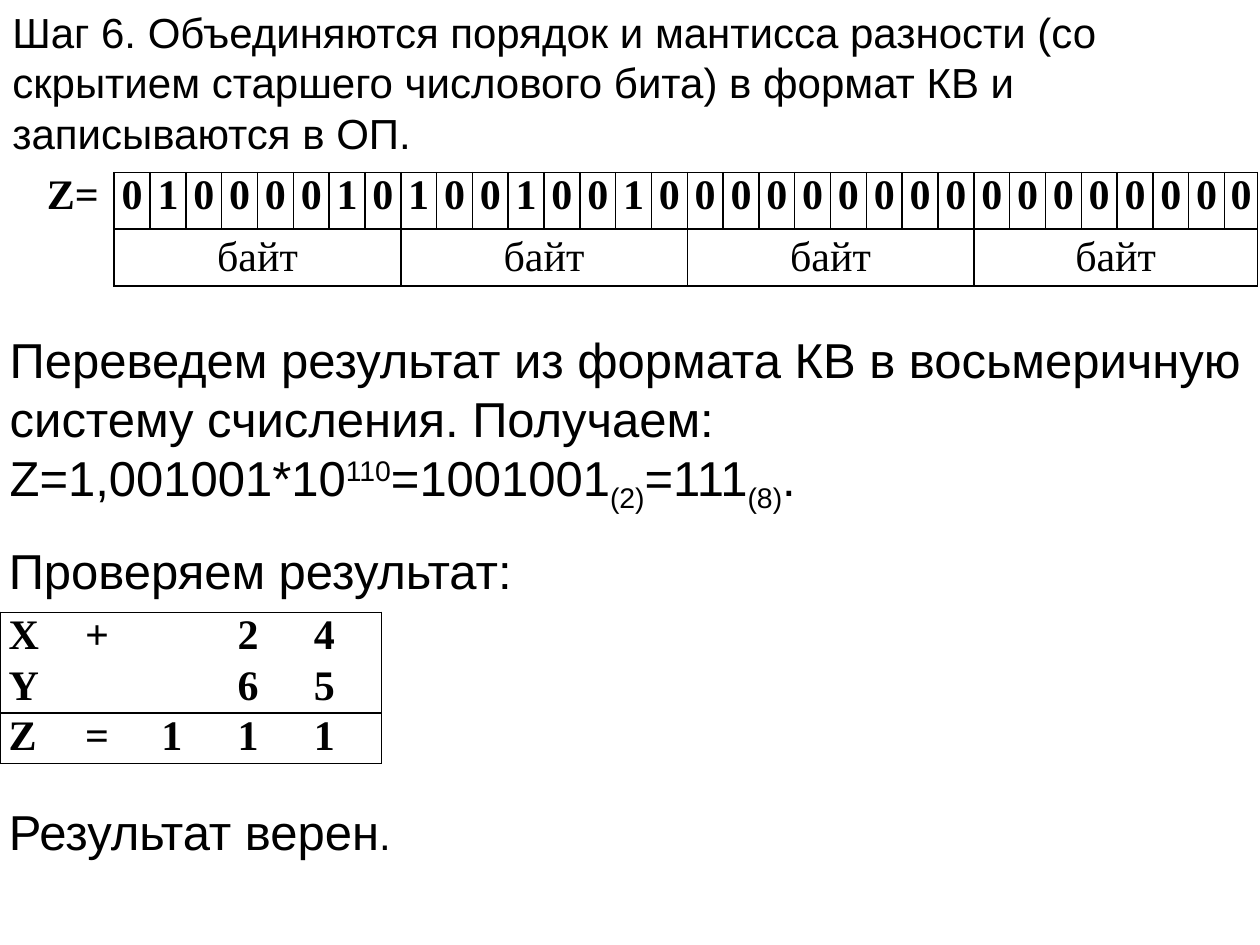
"""Build the slide on packing and checking a floating-point difference."""
import pptx
import pptx.dml.color
import pptx.enum.text
import pptx.oxml
import pptx.oxml.ns
import pptx.util

Pt = pptx.util.Pt
BLACK = pptx.dml.color.RGBColor(0x00, 0x00, 0x00)
SANS, SERIF = "Arial", "Times New Roman"
BYTES = ["01000010", "10010010", "00000000", "00000000"]
BYTE_SIZE = 8
CHECK_ROWS = ["X+ 24", "Y  65", "Z=111"]
CHECK_EDGES = ["T", "B", "TB"]
SUPERSCRIPT, SUBSCRIPT = 30000, -25000


def add_run(paragraph, wording, size, font=SANS, bold=False, baseline=0):
    """Append one formatted run."""
    run = paragraph.add_run()
    run.text = wording
    run.font.size = Pt(size)
    run.font.name = font
    run.font.bold = bold
    run.font.color.rgb = BLACK
    if baseline:
        run.font._element.set("baseline", str(baseline))


def add_statement(slide, left, top, height, paragraphs):
    """Add a wrapped text box from paragraphs of (wording, size, baseline) runs."""
    box = slide.shapes.add_textbox(Pt(left), Pt(top), Pt(720), Pt(height))
    frame = box.text_frame
    frame.word_wrap = True
    frame.auto_size = pptx.enum.text.MSO_AUTO_SIZE.SHAPE_TO_FIT_TEXT
    for index, runs in enumerate(paragraphs):
        paragraph = frame.add_paragraph() if index else frame.paragraphs[0]
        for wording, size, baseline in runs:
            add_run(paragraph, wording, size, baseline=baseline)


def add_grid(slide, left, top, widths, heights):
    """Add a table without header or banding and return it."""
    table = slide.shapes.add_table(
        len(heights), len(widths), Pt(left), Pt(top), Pt(sum(widths)), Pt(sum(heights))
    ).table
    table.first_row = table.horz_banding = False
    for column, width in zip(table.columns, widths):
        column.width = Pt(width)
    for row, height in zip(table.rows, heights):
        row.height = Pt(height)
    return table


def set_edges(cell, edges):
    """Draw the named edges of a cell and hide the others."""
    properties = cell._tc.get_or_add_tcPr()
    namespace = pptx.oxml.ns.nsdecls("a")
    for index, edge in enumerate("LRTB"):
        if edge in edges:
            paint = f'<a:solidFill><a:srgbClr val="{BLACK}"/></a:solidFill>'
        else:
            paint = "<a:noFill/>"
        line = pptx.oxml.parse_xml(f'<a:ln{edge} {namespace} w="12700">{paint}</a:ln{edge}>')
        properties.insert(index, line)


def format_cell(cell, edges, wording="", bold=True, side_margin=0, align=None):
    """Set the fill, edges, margins and wording of a cell."""
    cell.fill.background()
    set_edges(cell, edges)
    cell.margin_left = cell.margin_right = Pt(side_margin)
    cell.margin_top = cell.margin_bottom = 0
    paragraph = cell.text_frame.paragraphs[0]
    paragraph.alignment = align
    paragraph.space_after = Pt(3)
    if wording:
        add_run(paragraph, wording, 24, SERIF, bold)


def add_bit_table(slide):
    """Add the bits of Z above their byte labels."""
    bits = "".join(BYTES)
    widths = [47.3] + [20.48] * (len(bits) - 1) + [18.9]
    table = add_grid(slide, 18, 98.6, widths, [32.4, 32.4])
    center = pptx.enum.text.PP_ALIGN.CENTER
    format_cell(table.cell(0, 0), "R", "Z=", align=center)
    format_cell(table.cell(1, 0), "R")
    for column, bit in enumerate(bits, start=1):
        format_cell(table.cell(0, column), "LRTB", bit, align=center)
        label = table.cell(1, column)
        position = (column - 1) % BYTE_SIZE
        if position == 0:
            label.merge(table.cell(1, column + BYTE_SIZE - 1))
            format_cell(label, "LRTB", "байт", bold=False, align=center)
            label.vertical_anchor = pptx.enum.text.MSO_ANCHOR.MIDDLE
        else:
            format_cell(label, "TBR" if position == BYTE_SIZE - 1 else "TB")


def add_check_table(slide):
    """Add the octal column addition that checks the result."""
    table = add_grid(slide, 0, 349.9, [43.6] * 5, [28.8] * 3)
    for row, (symbols, row_edges) in enumerate(zip(CHECK_ROWS, CHECK_EDGES)):
        for column, symbol in enumerate(symbols):
            edges = row_edges + {0: "L", 4: "R"}.get(column, "")
            format_cell(table.cell(row, column), edges, symbol.strip(), side_margin=5)


def main():
    """Create and save the presentation."""
    deck = pptx.Presentation()
    deck.slide_width, deck.slide_height = Pt(720), Pt(540)
    slide = deck.slides.add_slide(deck.slide_layouts[6])
    step = (
        "Шаг 6. Объединяются порядок и мантисса разности (со скрытием "
        "старшего числового бита) в формат КВ и записываются в ОП."
    )
    conversion = (
        "Переведем результат из формата КВ в восьмеричную систему счисления. Получаем:"
    )
    equation = [
        ("Z=1,001001*10", 28, 0),
        ("110", 28, SUPERSCRIPT),
        ("=1001001", 28, 0),
        ("(2)", 28, SUBSCRIPT),
        ("=111", 28, 0),
        ("(8)", 28, SUBSCRIPT),
        (".", 28, 0),
    ]
    add_statement(slide, 0, 0, 94.3, [[(step, 24, 0)]])
    add_statement(slide, -1.5, 185, 108.7, [[(conversion, 28, 0)], equation])
    add_bit_table(slide)
    add_statement(slide, -2, 305.3, 41, [[("Проверяем результат:", 28, 0)]])
    add_statement(slide, -2, 454.3, 41, [[("Результат верен", 28, 0), (".", 24, 0)]])
    add_check_table(slide)
    deck.save("out.pptx")


if __name__ == "__main__":
    main()
